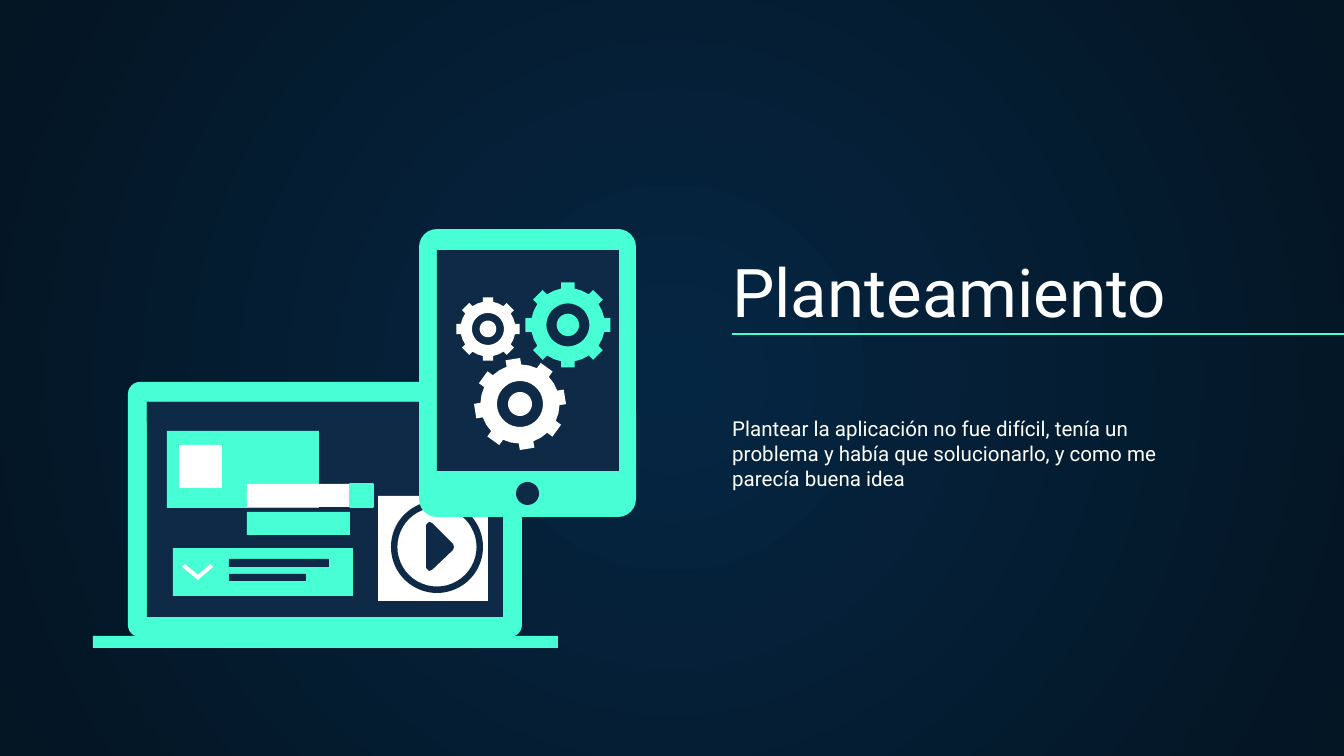
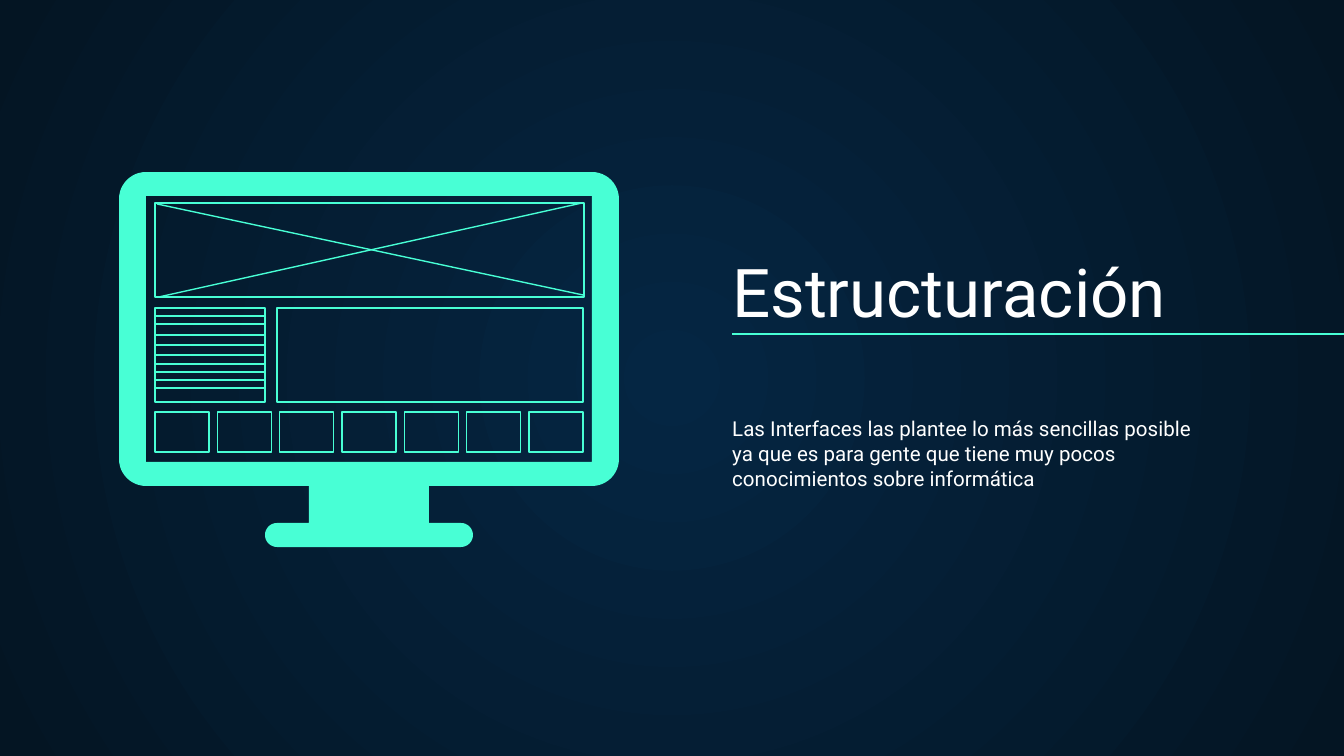
from dataclasses import dataclass
from math import asin, cos, degrees, radians, sin

from lxml import etree
from pptx import Presentation
from pptx import util as u
from pptx.dml.color import RGBColor
from pptx.enum import shapes, text
from pptx.oxml import parse_xml
from pptx.oxml.ns import nsdecls, qn

PX = 914400 / 134.4
KIND = shapes.MSO_SHAPE


@dataclass(frozen=True)
class Theme:
    glow: str = "052643"
    night: str = "041523"
    mint: str = "48FFD5"
    navy: str = "0E2A47"
    white: str = "FFFFFF"
    font: str = "Roboto"
    title_size: int = 36
    body_size: int = 11
    line_width: float = 0.75


THEME = Theme()


def px(length):
    return u.Emu(round(length * PX))


def rgb(code):
    return RGBColor.from_string(code)


def set_background(master):
    fill = master.background.fill
    fill.gradient()
    for stop, color, position in zip(fill.gradient_stops, (THEME.glow, THEME.night), (0, 1)):
        stop.color.rgb = rgb(color)
        stop.position = position
    gradient = master.element.find(".//" + qn("a:gradFill"))
    gradient.replace(gradient.find(qn("a:lin")), parse_xml(
        f'<a:path {nsdecls("a")} path="circle">'
        '<a:fillToRect l="50000" t="50000" r="50000" b="50000"/></a:path>'))


def paint(shape, fill=None, line=None):
    shape.shadow.inherit = False
    if fill:
        shape.fill.solid()
        shape.fill.fore_color.rgb = rgb(fill)
    else:
        shape.fill.background()
    if line:
        shape.line.color.rgb = rgb(line)
        shape.line.width = u.Pt(THEME.line_width)
    else:
        shape.line.fill.background()
    return shape


def block(parent, area, fill=None, line=None, kind=KIND.RECTANGLE, adjust=None):
    shape = parent.shapes.add_shape(kind, *map(px, area))
    if adjust is not None:
        shape.adjustments[0] = adjust
    return paint(shape, fill, line)


def rounded(slide, area, radius, fill):
    return block(slide, area, fill, kind=KIND.ROUNDED_RECTANGLE, adjust=radius / min(area[2:]))


def outline(slide, fill, *contours):
    contours = [[(px(x), px(y)) for x, y in contour] for contour in contours]
    builder = slide.shapes.build_freeform(*contours[0][0])
    for number, contour in enumerate(contours):
        if number:
            builder.move_to(*contour[0])
        builder.add_line_segments(contour[1:], close=True)
    return paint(builder.convert_to_shape(), fill)


def rule(slide, start, end):
    line = slide.shapes.add_connector(
        shapes.MSO_CONNECTOR.STRAIGHT, *map(px, start), *map(px, end))
    line.line.color.rgb = rgb(THEME.mint)
    line.line.width = u.Pt(THEME.line_width)
    etree.SubElement(line.element.spPr, qn("a:effectLst"))
    return line


def write(slide, area, words, size, anchor):
    frame = slide.shapes.add_textbox(*map(px, area)).text_frame
    frame.word_wrap = True
    frame.vertical_anchor = anchor
    frame.margin_left = frame.margin_right = u.Inches(0.1)
    frame.margin_top = frame.margin_bottom = u.Inches(0.1)
    run = frame.paragraphs[0].add_run()
    run.text = words
    run.font.name = THEME.font
    run.font.size = u.Pt(size)
    run.font.color.rgb = rgb(THEME.white)


def arc(center, radius, start=0, end=360, steps=36):
    angles = [radians(start + (end - start) * i / steps) for i in range(steps + 1)]
    return [(center[0] + radius * cos(a), center[1] + radius * sin(a)) for a in angles]


def gear(slide, center, radius, fill, turn=0):
    body, half_tooth = 0.86, 0.16
    base_angle = degrees(asin(half_tooth / body))
    tip_angle = degrees(asin(half_tooth))
    profile = [(-base_angle, body), (-tip_angle, 1), (tip_angle, 1),
               (base_angle, body), (22.5, body)]
    teeth = [
        (center[0] + radius * reach * cos(radians(tooth + angle + turn)),
         center[1] + radius * reach * sin(radians(tooth + angle + turn)))
        for tooth in range(0, 360, 45) for angle, reach in profile]
    ring = arc(center, radius * 0.5)[::-1]
    hub = arc(center, radius * 0.26)
    outline(slide, fill, teeth, ring, hub)


def section_slide(deck, title, body):
    slide = deck.slides.add_slide(deck.slide_layouts[6])
    write(slide, (719, 255, 519, 89), title, THEME.title_size, text.MSO_ANCHOR.BOTTOM)
    write(slide, (719, 403, 508, 208), body, THEME.body_size, text.MSO_ANCHOR.TOP)
    rule(slide, (732, 334), (1344, 334))
    return slide


def draw_laptop(slide):
    mint, navy, white = THEME.mint, THEME.navy, THEME.white
    rounded(slide, (128, 382, 394, 255), 12, mint)
    for area, fill in (
        ((147, 402, 356, 215), navy),
        ((93, 636, 465, 12), mint),
        ((147, 402, 356, 20), navy),
        ((167, 431, 152, 77), mint),
        ((179, 445, 43, 43), white),
        ((220, 548, 133, 48), mint),
        ((229, 559, 100, 8), navy),
        ((229, 574, 77, 7), navy),
        ((173, 548, 47, 48), mint),
        ((247, 512, 103, 23), mint),
        ((247, 484, 103, 23), white),
        ((378, 496, 110, 105), white),
    ):
        block(slide, area, fill)
    block(slide, (350, 484, 23, 23), mint, mint)
    outline(slide, white, [(185, 564), (198, 575), (210, 564),
                           (213, 567), (198, 580), (182, 567)])
    block(slide, (391, 501, 92, 92), navy, kind=KIND.DONUT, adjust=0.07)
    outline(slide, navy, [(426, 525), (429, 522), (432, 523), (453, 544), (454, 547),
                          (453, 550), (432, 570), (429, 571), (426, 568)])


def draw_tablet(slide):
    rounded(slide, (419, 229, 217, 288), 18, THEME.mint)
    block(slide, (437, 250, 182, 221), THEME.navy)
    block(slide, (516, 482, 23, 23), THEME.navy, kind=KIND.OVAL)
    gear(slide, (568, 325), 43, THEME.mint)
    gear(slide, (488, 329), 32, THEME.white)
    gear(slide, (520, 404), 46, THEME.white, turn=-9)


def draw_monitor(slide):
    case = [
        *arc((146, 199), 27, 180, 270, 12), *arc((592, 199), 27, 270, 360, 12),
        *arc((592, 459), 27, 0, 90, 12), (429, 486), (429, 523),
        *arc((461, 535), 12, -90, 90, 16), *arc((277, 535), 12, 90, 270, 16),
        (309, 523), (309, 486), *arc((146, 459), 27, 90, 180, 12)]
    screen = [(146, 196), (146, 462), (592, 462), (592, 196)]
    outline(slide, THEME.mint, case, screen)


def draw_wireframe(slide):
    block(slide, (155, 203, 429, 94), line=THEME.mint)
    menu = block(slide, (155, 308, 110, 94), line=THEME.mint)
    block(slide, (277, 308, 306, 94), line=THEME.mint)
    thumbnails = slide.shapes.add_group_shape()
    for column in range(7):
        block(thumbnails, (155 + column * 374 / 6, 412, 54, 40), line=THEME.mint)
    rule(slide, (157, 204), (583, 295))
    rule(slide, (159, 297), (582, 203))
    menu_middle = 355
    for y in (316, 324, 335, 345, menu_middle, 364, 372, 380, 388):
        entry = rule(slide, (155, y), (265, y))
        if y == menu_middle:
            entry.begin_connect(menu, 1)
            entry.end_connect(menu, 3)


def main():
    deck = Presentation()
    deck.slide_width, deck.slide_height = px(1344), px(756)
    set_background(deck.slide_master)

    approach = section_slide(
        deck, "Planteamiento",
        "Plantear la aplicación no fue difícil, tenía un problema y había que "
        "solucionarlo, y como me parecía buena idea")
    draw_laptop(approach)
    draw_tablet(approach)

    structure = section_slide(
        deck, "Estructuración",
        "Las Interfaces las plantee lo más sencillas posible ya que es para gente "
        "que tiene muy pocos conocimientos sobre informática")
    draw_monitor(structure)
    draw_wireframe(structure)

    deck.save("out.pptx")


if __name__ == "__main__":
    main()
